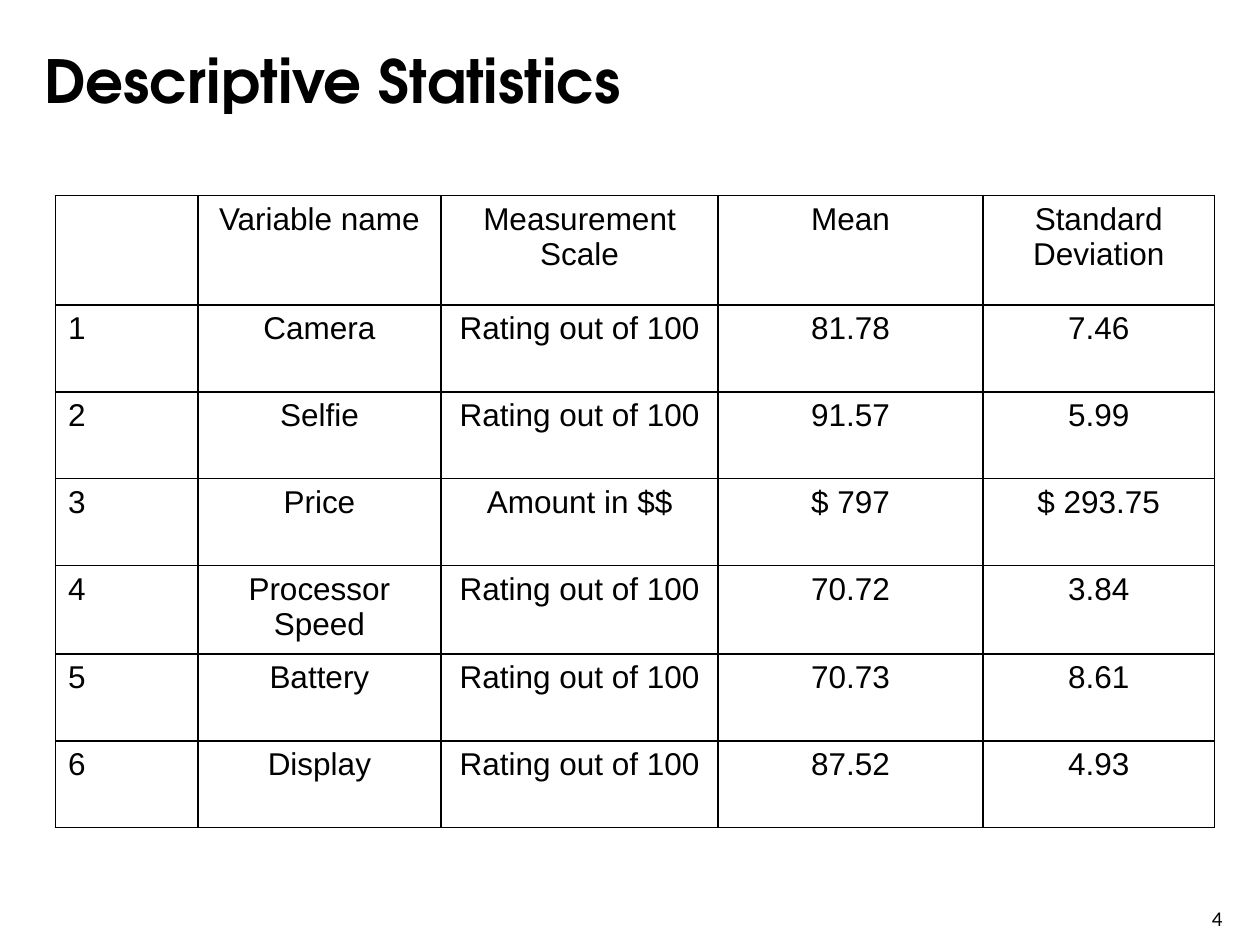
from lxml import etree
from pptx import Presentation
from pptx.dml.color import RGBColor
from pptx.enum.text import MSO_ANCHOR, PP_ALIGN
from pptx.oxml.ns import qn
from pptx.util import Inches, Pt

LEFT, CENTER = PP_ALIGN.LEFT, PP_ALIGN.CENTER
TOP = MSO_ANCHOR.TOP
TITLE_ONLY = 5
COLOURS = {"ink": "000000"}
TITLE_FORMAT = {"name": "TeX Gyre Adventor", "size": Pt(34), "bold": True}
CELL_FORMAT = {"name": "Arial", "size": Pt(18), "bold": False}
NUMBER_FORMAT = {"name": "Calibri", "size": Pt(12), "bold": False}

COLUMN_WIDTHS = [1.13, 1.93, 2.2, 2.1, 1.84]
HEADER_HEIGHT, ROW_HEIGHT = 0.87, 0.69
RATING = "Rating out of 100"
HEADER = ["", "Variable name", "Measurement Scale", "Mean", "Standard Deviation"]
VARIABLES = [
    ("Camera", RATING, "81.78", "7.46"),
    ("Selfie", RATING, "91.57", "5.99"),
    ("Price", "Amount in $$", "$ 797", "$ 293.75"),
    ("Processor Speed", RATING, "70.72", "3.84"),
    ("Battery", RATING, "70.73", "8.61"),
    ("Display", RATING, "87.52", "4.93"),
]


def write(frame, text, formats, align=LEFT):
    """Put one formatted paragraph into a text frame."""
    frame.word_wrap = True
    para = frame.paragraphs[0]
    para.text = text
    para.alignment = align
    for target in (para.font, *(span.font for span in para.runs)):
        for name, value in formats.items():
            setattr(target, name, value)
        target.color.rgb = RGBColor.from_string(COLOURS["ink"])


def add_title(page, text):
    """Move and fill the title placeholder."""
    title = page.shapes.title
    place = {"left": 0.25, "top": 0.3, "width": 8.67, "height": 1.25}
    for name, value in place.items():
        setattr(title, name, Inches(value))
    title.text_frame.vertical_anchor = TOP
    write(title.text_frame, text, TITLE_FORMAT)


def add_borders(cell):
    """Draw a thin line on every side of a cell."""
    properties = cell._tc.get_or_add_tcPr()
    for index, side in enumerate(("lnL", "lnR", "lnT", "lnB")):
        line = etree.Element(qn(f"a:{side}"), w=str(Pt(1)))
        fill = etree.SubElement(line, qn("a:solidFill"))
        etree.SubElement(fill, qn("a:srgbClr"), val=COLOURS["ink"])
        properties.insert(index, line)


def add_statistics(page, rows):
    """Add the bordered table of descriptive statistics."""
    heights = [HEADER_HEIGHT] + [ROW_HEIGHT] * (len(rows) - 1)
    table = page.shapes.add_table(
        len(rows), len(COLUMN_WIDTHS), Inches(0.44), Inches(1.55),
        Inches(sum(COLUMN_WIDTHS)), Inches(sum(heights))).table
    table.first_row = table.horz_banding = False
    for column, width in zip(table.columns, COLUMN_WIDTHS):
        column.width = Inches(width)
    for row, height, texts in zip(table.rows, heights, rows):
        row.height = Inches(height)
        for position, (cell, text) in enumerate(zip(row.cells, texts)):
            write(cell.text_frame, text, CELL_FORMAT, CENTER if position else LEFT)
            cell.fill.background()
            add_borders(cell)


def add_page_number(page, text):
    """Add the page number in the bottom right corner."""
    box = page.shapes.add_textbox(Inches(9.52), Inches(7.14), Inches(0.4), Inches(0.24))
    write(box.text_frame, text, NUMBER_FORMAT)


def main():
    """Build and save the deck."""
    deck = Presentation()
    deck.slide_width, deck.slide_height = Inches(10), Inches(7.5)
    page = deck.slides.add_slide(deck.slide_layouts[TITLE_ONLY])
    add_page_number(page, "4")
    add_title(page, "Descriptive Statistics")
    numbered = [(str(number), *values) for number, values in enumerate(VARIABLES, 1)]
    add_statistics(page, [HEADER, *numbered])
    deck.save("out.pptx")


if __name__ == "__main__":
    main()
